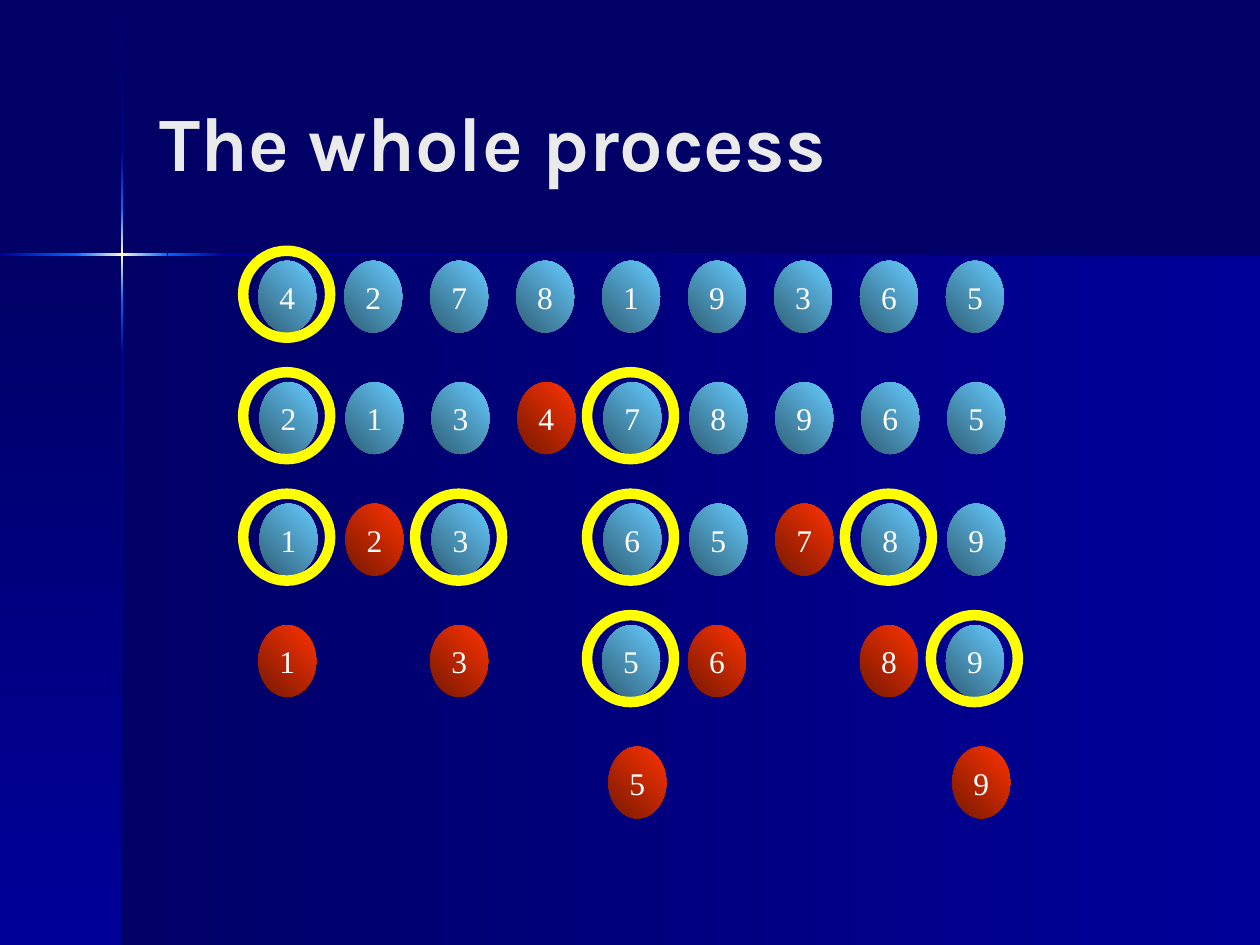
from dataclasses import dataclass
from lxml import etree
from pptx import Presentation
from pptx.dml.color import RGBColor
from pptx.enum import shapes, text
from pptx.oxml.ns import qn
from pptx.util import Inches, Pt

WIDTH, HEIGHT = 10, 7.5
COL, ROW = WIDTH / 100, HEIGHT / 75


@dataclass(frozen=True)
class Theme:
    night: str = "000066"
    navy: str = "000099"
    glow: str = "0066FF"
    spark: str = "FFFFCC"
    heading: str = "EAEAEA"
    digit: str = "FFFFFF"
    ring: str = "FFFF00"
    waiting: tuple = ("2F5E76", "66CCFF")
    placed: tuple = ("761800", "FF3300")
    heading_font: str = "Karla"
    digit_font: str = "Times New Roman"
    heading_size: int = 44
    digit_size: int = 18
    ring_weight: int = 6


@dataclass(frozen=True)
class Box:
    left: float
    top: float
    width: float
    height: float

    def emu(self):
        return (Inches(self.left * COL), Inches(self.top * ROW),
                Inches(self.width * COL), Inches(self.height * ROW))


THEME = Theme()
DOWN, RISING = 90, 315
TOKEN = (4.6, 5.7)
RING = (6.9, 6.9)
RING_OFFSET = (-1.2, -0.8)

STEPS = [
    dict(values="427819365", placed="", pivots="4", shift=0),
    dict(values="213478965", placed="4", pivots="27", shift=0.1),
    dict(values="123 65789", placed="27", pivots="1368", shift=0.1),
    dict(values="1 3 56 89", placed="1368", pivots="59", shift=0),
    dict(values="    5   9", placed="59", pivots="", shift=0.5),
]


def write(shape, words, *, font, size, color, bold=False, align=text.PP_ALIGN.LEFT, wrap=True):
    frame = shape.text_frame
    frame.word_wrap = wrap
    frame.vertical_anchor = text.MSO_ANCHOR.MIDDLE
    paragraph = frame.paragraphs[0]
    paragraph.alignment = align
    run = paragraph.add_run()
    run.text = words
    run.font.name, run.font.size, run.font.bold = font, Pt(size), bold
    run.font.color.rgb = RGBColor.from_string(color)


def add_plain(slide, preset, box):
    shape = slide.shapes.add_shape(preset, *box.emu())
    shape.shadow.inherit = False
    shape.fill.background()
    shape.line.fill.background()
    return shape


def add_blend(slide, preset, box, colors, angle=0):
    shape = add_plain(slide, preset, box)
    shape.fill.gradient()
    shape.fill.gradient_angle = -angle % 360
    stops = shape.element.spPr.find(".//" + qn("a:gsLst"))
    for old in list(stops):
        stops.remove(old)
    for index, color in enumerate(colors):
        position = 100000 * index // (len(colors) - 1)
        stop = etree.SubElement(stops, qn("a:gs"), pos=str(position))
        etree.SubElement(stop, qn("a:srgbClr"), val=color)
    return shape


def draw_backdrop(slide, box, corner):
    slide.background.fill.solid()
    slide.background.fill.fore_color.rgb = RGBColor.from_string(THEME.night)
    x, y = corner
    depth = box.height - y
    panel = (THEME.night, THEME.navy)
    rectangle = shapes.MSO_SHAPE.RECTANGLE
    add_blend(slide, rectangle, Box(x, y, box.width - x, depth), panel)
    add_blend(slide, rectangle, Box(0, y, x, depth), panel, DOWN)

    fade_in = (THEME.navy, THEME.glow)
    flare = (THEME.glow, THEME.spark, THEME.glow)
    fade_out = (THEME.glow, THEME.navy)
    tail = (THEME.navy, THEME.night)
    beam = 0.2
    upright = zip((0.1, 12.1, 16.5, 23.8, 28.2), (12.1, 16.5, 23.8, 28.2, box.height),
                  (panel, fade_in, flare, fade_out, tail))
    for start, end, colors in upright:
        add_blend(slide, rectangle, Box(x - beam / 2, start, beam, end - start), colors, DOWN)
    level = zip((0, 6, 13.3, 17.7), (6.1, 13.3, 17.7, box.width),
                (fade_in, flare, fade_out, tail))
    for start, end, colors in level:
        add_blend(slide, rectangle, Box(start, y - beam / 2, end - start, beam), colors)


def draw_heading(slide, box):
    heading = slide.shapes.add_textbox(*box.emu())
    write(heading, "The whole process", font=THEME.heading_font,
          size=THEME.heading_size, color=THEME.heading, bold=True)


def draw_step(slide, box, values, placed, pivots, shift):
    pitch = box.width / len(values)
    oval = shapes.MSO_SHAPE.OVAL
    for column, value in enumerate(values):
        if value == " ":
            continue
        left = box.left + column * pitch + shift
        colors = THEME.placed if value in placed else THEME.waiting
        token = add_blend(slide, oval, Box(left, box.top, *TOKEN), colors, RISING)
        write(token, value, font=THEME.digit_font, size=THEME.digit_size,
              color=THEME.digit, align=text.PP_ALIGN.CENTER, wrap=False)
    dx, dy = RING_OFFSET
    for pivot in pivots:
        left = box.left + values.index(pivot) * pitch + dx
        ring = add_plain(slide, oval, Box(left, box.top + dy, *RING))
        ring.line.color.rgb = RGBColor.from_string(THEME.ring)
        ring.line.width = Pt(THEME.ring_weight)


def draw_process(slide, box):
    pitch = box.height / len(STEPS)
    for row, step in enumerate(STEPS):
        draw_step(slide, Box(box.left, box.top + row * pitch, box.width, pitch), **step)


def main():
    deck = Presentation()
    deck.slide_width, deck.slide_height = Inches(WIDTH), Inches(HEIGHT)
    slide = deck.slides.add_slide(deck.slide_layouts[6])
    draw_backdrop(slide, Box(0, 0, 100, 75), corner=(9.7, 20.2))
    draw_heading(slide, Box(11.7, 3.3, 82.5, 15.7))
    draw_process(slide, Box(20.5, 20.7, 61.4, 48.2))
    deck.save("out.pptx")


if __name__ == "__main__":
    main()
